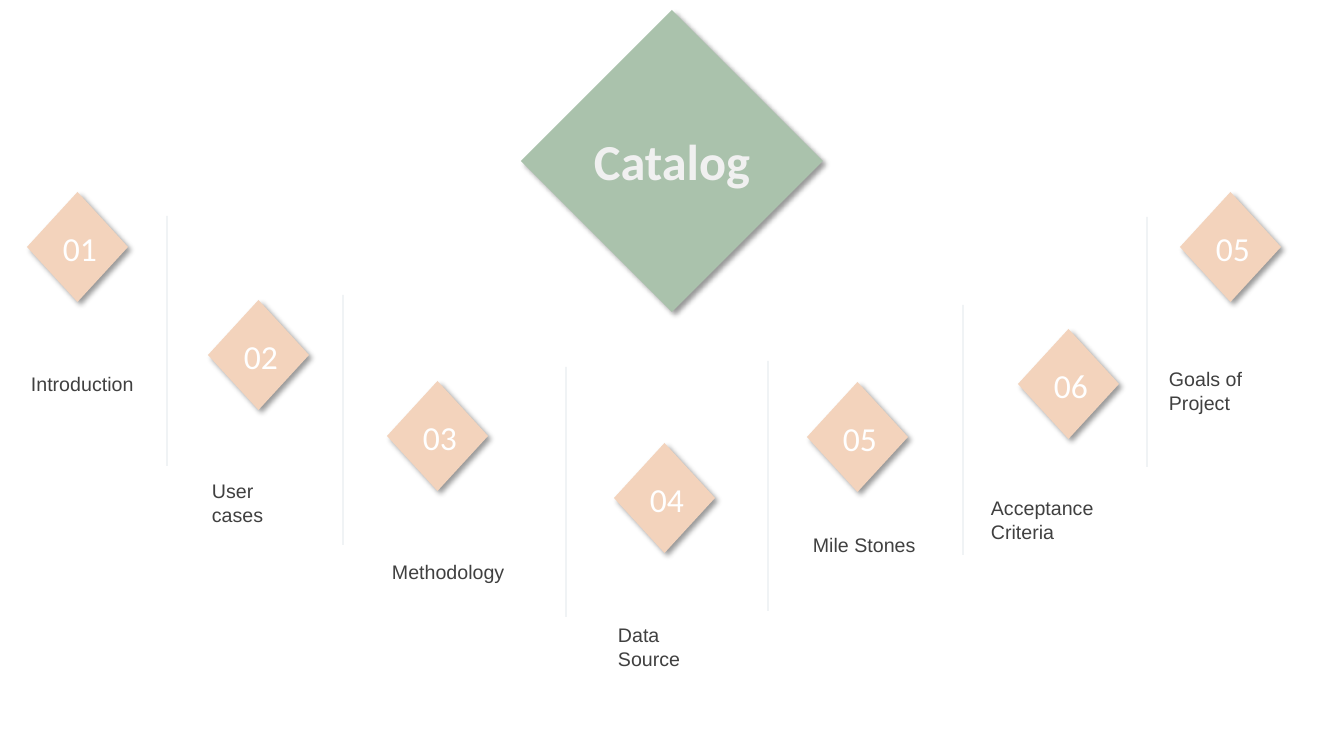
from lxml.etree import SubElement
from pptx import Presentation
from pptx.dml.color import RGBColor
from pptx.enum.shapes import MSO_CONNECTOR, MSO_SHAPE
from pptx.enum.text import MSO_AUTO_SIZE, PP_ALIGN
from pptx.oxml.ns import qn
from pptx.util import Pt

PX = 914400 / 100.8  # EMU in one px
COLORS = {
    "green": "AAC2AC", "peach": "F3D3BC", "navy": "093759", "shadow": "000000",
    "title": "F0F0F0", "number": "FFFFFF", "label": "404040",
}


def add_diamond(shapes, box, color):
    diamond = shapes.add_shape(MSO_SHAPE.DIAMOND, *(round(n * PX) for n in box))
    diamond.fill.solid()
    diamond.fill.fore_color.rgb = RGBColor.from_string(COLORS[color])
    diamond.line.fill.background()
    diamond.shadow.inherit = False
    effects = diamond._element.spPr.find(qn("a:effectLst"))
    shadow = SubElement(effects, qn("a:outerShdw"), blurRad=str(Pt(4)), dist=str(Pt(3)),
                        dir="2700000", algn="tl", rotWithShape="0")
    shade = SubElement(shadow, qn("a:srgbClr"), val=COLORS["shadow"])
    SubElement(shade, qn("a:alpha"), val="40000")


def add_text(shapes, box, text, font_name, size, color, wrap=False):
    frame = shapes.add_textbox(*(round(n * PX) for n in box)).text_frame
    frame.word_wrap = wrap
    frame.auto_size = MSO_AUTO_SIZE.SHAPE_TO_FIT_TEXT
    paragraph = frame.paragraphs[0]
    paragraph.text = text
    paragraph.font.name = font_name
    paragraph.font.size = Pt(size)
    paragraph.font.color.rgb = RGBColor.from_string(COLORS[color])
    return paragraph


prs = Presentation()
prs.slide_width, prs.slide_height = round(1344 * PX), round(756 * PX)
slide = prs.slides.add_slide(prs.slide_layouts[6])

# Title diamond
add_diamond(slide.shapes, (521, 10, 302, 302), "green")
title = add_text(slide.shapes, (568, 125, 208, 72), "Catalog", "Calibri", 36, "title")
title.font.bold = True
title.alignment = PP_ALIGN.CENTER

# Dividers between the topics
DIVIDER_HEIGHT = 250
for x, top in [(167, 216), (343, 295), (566, 367), (768, 361), (963, 305), (1147, 217)]:
    divider = slide.shapes.add_connector(
        MSO_CONNECTOR.STRAIGHT, round(x * PX), round(top * PX),
        round(x * PX), round((top + DIVIDER_HEIGHT) * PX))
    divider.line.width = Pt(0.5)
    divider.line.color.rgb = RGBColor.from_string(COLORS["navy"])
    tint = divider._element.spPr.find(".//" + qn("a:srgbClr"))
    SubElement(tint, qn("a:alpha"), val="17000")
    SubElement(divider._element.spPr, qn("a:effectLst"))

# Topics: number, diamond corner, label, label left, top and width
topics = [
    ("01", 27, 192, "Introduction", 21, 367, 123),
    ("02", 208, 300, "User cases", 202, 474, 118),
    ("03", 387, 381, "Methodology", 382, 555, 138),
    ("04", 614, 443, "Data Source", 608, 618, 129),
    ("05", 807, 382, "Mile Stones", 803, 528, 123),
    ("06", 1018, 329, "Acceptance Criteria", 981, 491, 130),
    ("05", 1180, 192, "Goals of Project", 1159, 362, 159),
]
for number, x, y, label, label_x, label_y, label_width in topics:
    badge = slide.shapes.add_group_shape()
    add_diamond(badge.shapes, (x, y, 101, 110), "peach")
    add_text(badge.shapes, (x + 26, y + 31, 66, 50), number, "Calibri", 24, "number", wrap=True)
    add_text(slide.shapes, (label_x, label_y, label_width, 34), label, "Arial", 14, "label",
             wrap=label == "Acceptance Criteria")

prs.save("out.pptx")
